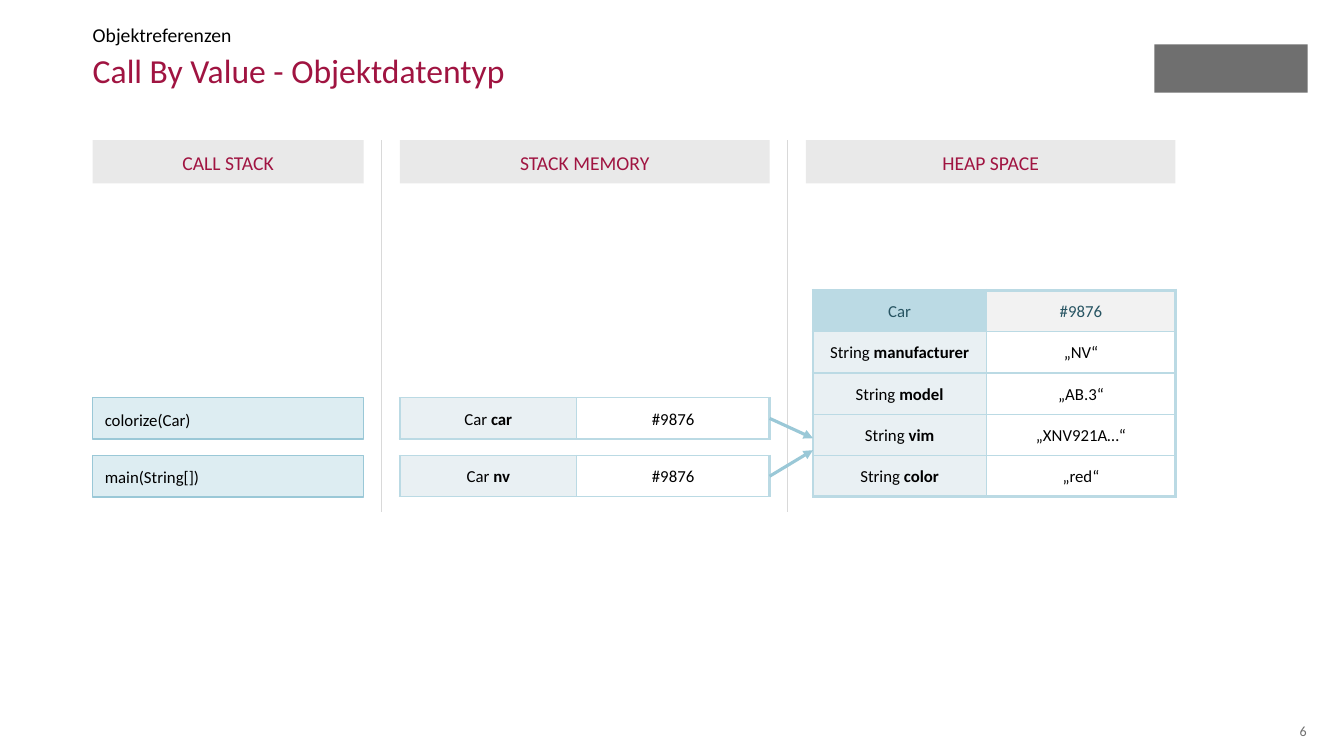
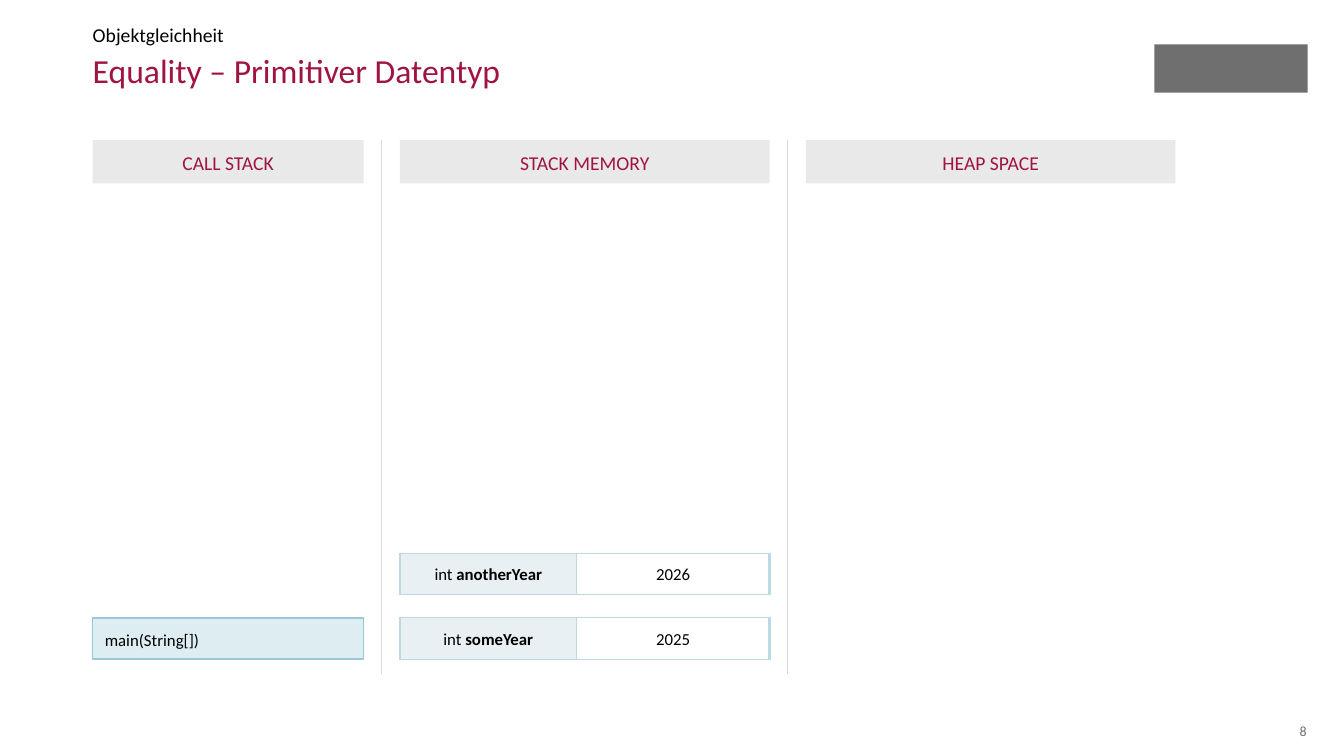
from dataclasses import dataclass

from lxml import etree
from pptx import Presentation
from pptx.dml.color import RGBColor
from pptx.enum.shapes import MSO_CONNECTOR, MSO_SHAPE
from pptx.enum.text import MSO_ANCHOR, PP_ALIGN
from pptx.oxml.ns import qn
from pptx.util import Inches, Pt

RECT = MSO_SHAPE.RECTANGLE
STRAIGHT = MSO_CONNECTOR.STRAIGHT
TOP, MIDDLE, BOTTOM = MSO_ANCHOR.TOP, MSO_ANCHOR.MIDDLE, MSO_ANCHOR.BOTTOM
LEFT, CENTER, RIGHT = PP_ALIGN.LEFT, PP_ALIGN.CENTER, PP_ALIGN.RIGHT


@dataclass(frozen=True)
class Theme:
    font: str = "Calibri"
    accent: str = "A01441"
    ink: str = "000000"
    dark: str = "275462"
    grey: str = "6F6F6F"
    band: str = "E9E9E9"
    rule: str = "D9D9D9"
    call: str = "DDEDF2"
    line: str = "9AC8D7"
    border: str = "BBDAE4"
    label: str = "E9F0F3"
    value: str = "FFFFFF"
    address: str = "F2F2F2"
    title_size: int = 24
    head_size: int = 14
    body_size: int = 12
    number_size: int = 10
    thin: float = 1
    thick: float = 2.25


@dataclass(frozen=True)
class Box:
    x: float
    y: float
    w: float
    h: float

    @property
    def right(self):
        return self.x + self.w

    @property
    def bottom(self):
        return self.y + self.h

    @property
    def middle(self):
        return self.y + self.h / 2

    def share(self, x, y, w, h):
        return Box(self.x + self.w * x / 100, self.y + self.h * y / 100,
                   self.w * w / 100, self.h * h / 100)

    def split(self, weights, gap):
        unit = (self.w - gap * (len(weights) - 1)) / sum(weights)
        x, boxes = self.x, []
        for weight in weights:
            boxes.append(Box(x, self.y, unit * weight, self.h))
            x += unit * weight + gap
        return boxes

    def rows_up(self, lift, count=1):
        height = ROW * count
        return Box(self.x, self.bottom - BASE - ROW * lift - height, self.w, height)

    def inches(self):
        return [Inches(n) for n in (self.x, self.y, self.w, self.h)]


T = Theme()
PAGE = Box(0, 0, 13.33, 7.5)
ROW, BASE, HEADER, GUTTER = 0.41, 0.15, 0.43, 0.36
COLUMN_WEIGHTS = (2.69, 3.67, 3.67)
TABLE_WEIGHTS = (1.75, 1.91)
HEADINGS = ("CALL STACK", "STACK MEMORY", "HEAP SPACE")


def rgb(value):
    return RGBColor.from_string(value)


def write(tf, text, size, color, align=LEFT, bold_text="", spacing=1.1):
    p = tf.paragraphs[0]
    p.text = text
    p.alignment = align
    p.line_spacing = spacing
    if bold_text:
        r = p.add_run()
        r.text = bold_text
        r.font.bold = True
    for r in p.runs:
        r.font.name = T.font
        r.font.size = Pt(size)
        r.font.color.rgb = rgb(color)


def add_text(s, box, text, size, color, anchor=TOP, align=LEFT, spacing=1.1):
    tf = s.shapes.add_textbox(*box.inches()).text_frame
    tf.word_wrap = True
    tf.vertical_anchor = anchor
    tf.margin_left = tf.margin_right = tf.margin_top = tf.margin_bottom = 0
    write(tf, text, size, color, align, spacing=spacing)


def add_block(s, box, fill, outline=None):
    sp = s.shapes.add_shape(RECT, *box.inches())
    sp.shadow.inherit = False
    sp.fill.solid()
    sp.fill.fore_color.rgb = rgb(fill)
    if outline:
        sp.line.color.rgb = rgb(outline)
        sp.line.width = Pt(T.thin)
    else:
        sp.line.fill.background()
    tf = sp.text_frame
    tf.word_wrap = True
    tf.vertical_anchor = MIDDLE
    tf.margin_left = tf.margin_right = Inches(0.12)
    tf.margin_top = tf.margin_bottom = Inches(0.08)
    return tf


def add_line(s, start, end, color, width, arrow=False):
    points = [Inches(n) for n in (*start, *end)]
    cn = s.shapes.add_connector(STRAIGHT, *points)
    cn.line.color.rgb = rgb(color)
    cn.line.width = Pt(width)
    sp_pr = cn._element.spPr
    if arrow:
        etree.SubElement(sp_pr.find(qn("a:ln")), qn("a:tailEnd"), type="triangle")
    etree.SubElement(sp_pr, qn("a:effectLst"))


def set_borders(cell, widths):
    tc_pr = cell._tc.get_or_add_tcPr()
    for side, width in zip("LRTB", widths):
        ln = etree.SubElement(tc_pr, qn(f"a:ln{side}"), w=str(Pt(width)))
        fill = etree.SubElement(ln, qn("a:solidFill"))
        etree.SubElement(fill, qn("a:srgbClr"), val=T.border)


def add_variables(s, box, variables, heading=None):
    rows = [(kind, name, value, T.label, T.value, T.ink) for kind, name, value in variables]
    edge = T.thin
    if heading:
        rows.insert(0, (heading[0], "", heading[1], T.border, T.address, T.dark))
        edge = T.thick
    table = s.shapes.add_table(len(rows), 2, *box.inches()).table
    table.first_row = table.horz_banding = False
    for column, area in zip(table.columns, box.split(TABLE_WEIGHTS, 0)):
        column.width = Inches(area.w)
    for i, (kind, name, value, label_fill, value_fill, color) in enumerate(rows):
        table.rows[i].height = Inches(box.h / len(rows))
        top = edge if i == 0 else T.thin
        bottom = edge if i == len(rows) - 1 else T.thin
        label = f"{kind} " if name else kind
        cells = ((label, name, label_fill, T.thick, T.thin),
                 (value, "", value_fill, T.thin, T.thick))
        for j, (text, bold_text, fill, left, right) in enumerate(cells):
            cell = table.cell(i, j)
            cell.vertical_anchor = MIDDLE
            set_borders(cell, (left, right, top, bottom))
            cell.fill.solid()
            cell.fill.fore_color.rgb = rgb(fill)
            write(cell.text_frame, text, T.body_size, color, CENTER, bold_text)


def add_frame(s, box, title, topic, number):
    add_block(s, box.share(85.9, 5.87, 11.4, 6.4), T.grey)
    add_text(s, box.share(93.1, 95.2, 4.13, 2.8), number, T.number_size, T.grey, MIDDLE, RIGHT)
    add_text(s, box.share(6.9, 7.2, 76.8, 11.33), title, T.title_size, T.accent, spacing=0.9)
    add_text(s, box.share(6.9, 2.93, 61.37, 3.2), topic, T.head_size, T.ink, BOTTOM)


def add_memory_panel(s, box):
    columns = box.split(COLUMN_WEIGHTS, GUTTER)
    for column, heading in zip(columns, HEADINGS):
        tf = add_block(s, Box(column.x, column.y, column.w, HEADER), T.band)
        write(tf, heading, T.head_size, T.accent, CENTER)
    for column in columns[:-1]:
        x = column.right + GUTTER / 2
        add_line(s, (x, box.y), (x, box.bottom), T.rule, 0.5)
    return columns


def add_calls(s, column, calls, pitch):
    for i, call in enumerate(calls):
        tf = add_block(s, column.rows_up(i * pitch), T.call, T.line)
        write(tf, call, T.body_size, T.ink)


def add_stack(s, column, variables, pitch):
    slots = [column.rows_up(i * pitch) for i in range(len(variables))]
    for slot, variable in zip(slots, variables):
        add_variables(s, slot, [variable])
    return slots


def add_heap_object(s, column, heading, fields):
    box = column.share(1.9, 0, 98.1, 100).rows_up(0, len(fields) + 1)
    add_variables(s, box, fields, heading)
    return box


def add_references(s, slots, target, rows_from_bottom):
    for slot, rows in zip(slots, rows_from_bottom):
        end = (target.x, target.bottom - rows * ROW)
        add_line(s, (slot.right, slot.middle), end, T.line, T.thick, arrow=True)


def call_by_value_slide(s):
    add_frame(s, PAGE, "Call By Value - Objektdatentyp", "Objektreferenzen", "6")
    calls, stack, heap = add_memory_panel(s, PAGE.share(6.9, 18.53, 80.57, 49.2))
    pitch = 1.4
    add_calls(s, calls, ("main(String[])", "colorize(Car)"), pitch)
    slots = add_stack(s, stack, (("Car", "nv", "#9876"), ("Car", "car", "#9876")), pitch)
    car = add_heap_object(s, heap, ("Car", "#9876"), (
        ("String", "manufacturer", "„NV“"),
        ("String", "model", "„AB.3“"),
        ("String", "vim", "„XNV921A…“"),
        ("String", "color", "„red“"),
    ))
    add_references(s, slots, car, (1.13, 1.42))


def equality_slide(s):
    add_frame(s, PAGE, "Equality – Primitiver Datentyp", "Objektgleichheit", "8")
    calls, stack, _ = add_memory_panel(s, PAGE.share(6.9, 18.53, 80.57, 70.67))
    pitch = 1.56
    add_calls(s, calls, ("main(String[])",), pitch)
    add_stack(s, stack, (("int", "someYear", "2025"), ("int", "anotherYear", "2026")), pitch)


def main():
    prs = Presentation()
    prs.slide_width, prs.slide_height = Inches(PAGE.w), Inches(PAGE.h)
    blank = prs.slide_layouts[6]
    for build in (call_by_value_slide, equality_slide):
        build(prs.slides.add_slide(blank))
    prs.save("out.pptx")


if __name__ == "__main__":
    main()
